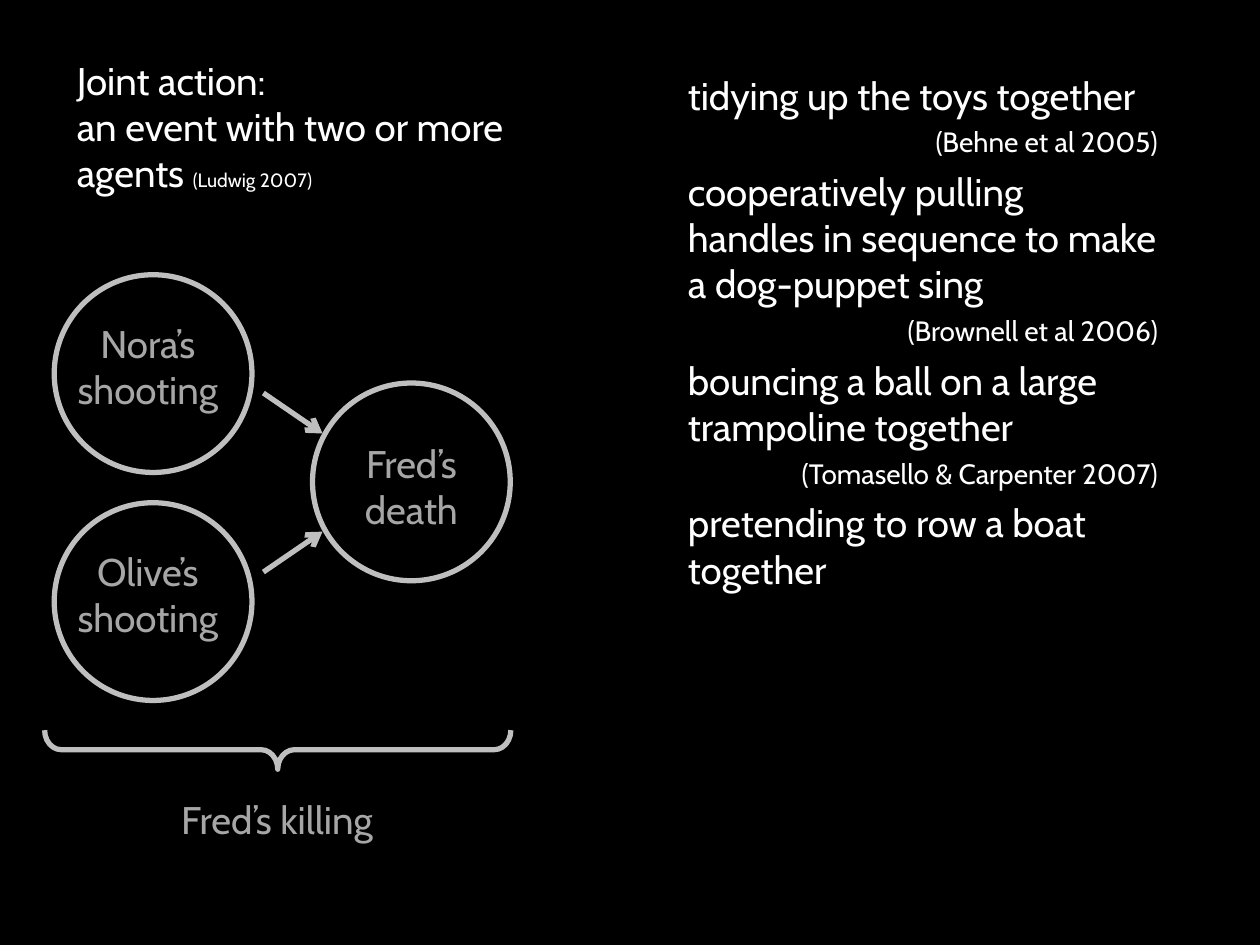
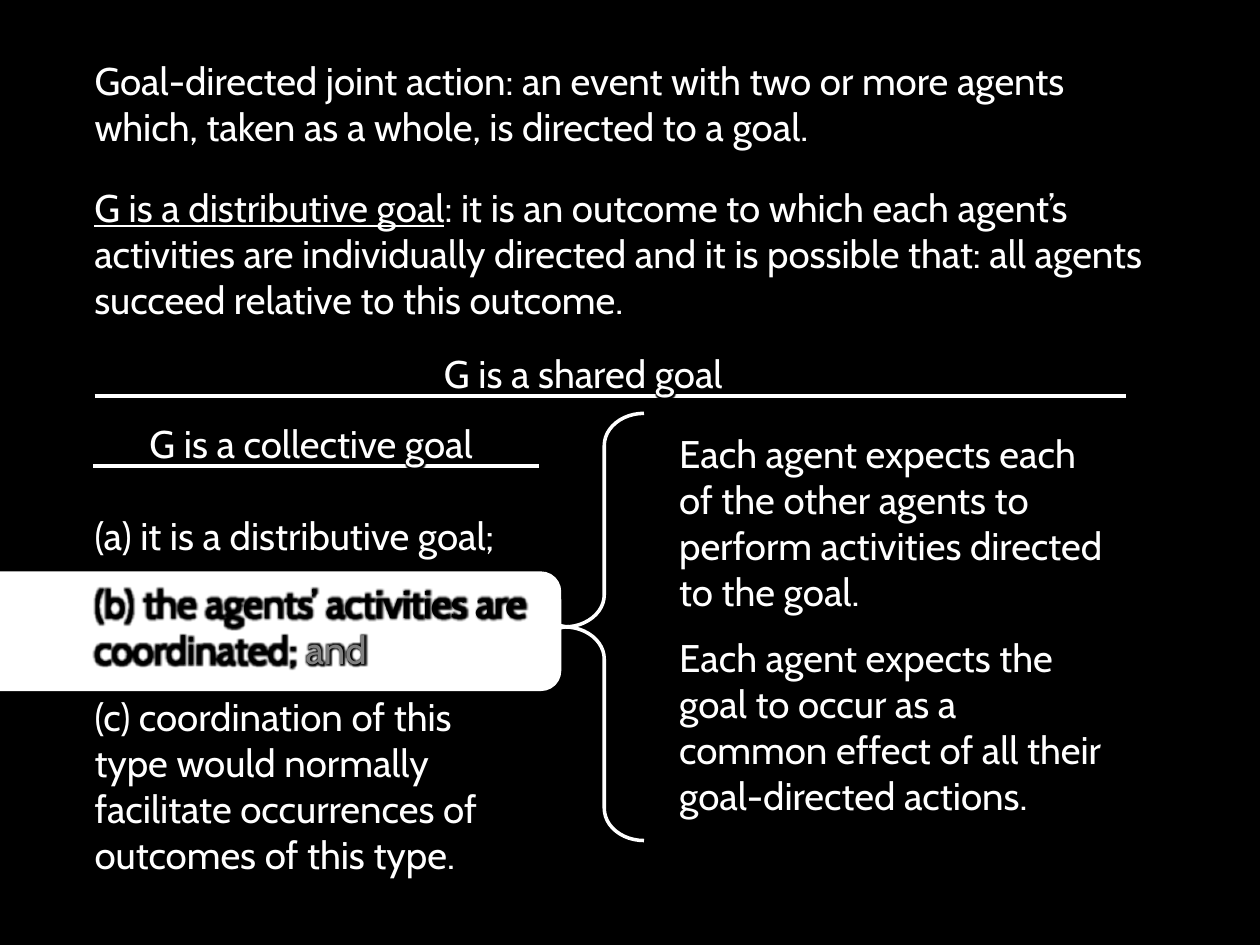
from lxml.etree import SubElement
from pptx import Presentation
from pptx.dml.color import RGBColor
from pptx.enum.shapes import MSO_CONNECTOR as LINK, MSO_SHAPE as SHAPE
from pptx.enum.text import MSO_ANCHOR, MSO_AUTO_SIZE, PP_ALIGN as ALIGN
from pptx.oxml import parse_xml
from pptx.oxml.ns import nsdecls, qn
from pptx.util import Pt

BLACK = RGBColor(0x00, 0x00, 0x00)
WHITE = RGBColor(0xFF, 0xFF, 0xFF)
SILVER = RGBColor(0xBF, 0xBF, 0xBF)
GREY = RGBColor(0xA6, 0xA6, 0xA6)
DIM = RGBColor(0x80, 0x80, 0x80)
FONT = "Cabin"
SIZE = 22
GLOW = (f'<a:effectLst {nsdecls("a")}><a:glow rad="63500">'
        '<a:srgbClr val="000000"/></a:glow></a:effectLst>')


def place(shape, left, top, width, height):
    """Move a text shape and return its wrapped, top-anchored frame."""
    shape.left, shape.top = Pt(left), Pt(top)
    shape.width, shape.height = Pt(width), Pt(height)
    frame = shape.text_frame
    frame.word_wrap = True
    frame.auto_size = MSO_AUTO_SIZE.NONE
    frame.vertical_anchor = MSO_ANCHOR.TOP
    return frame


def write(frame, text, size=SIZE, color=WHITE, align=ALIGN.LEFT, before=0, after=0):
    """Add a plain paragraph without bullet or indent."""
    par = frame.add_paragraph() if frame.text else frame.paragraphs[0]
    props = par._p.get_or_add_pPr()
    props.set("marL", "0")
    props.set("indent", "0")
    SubElement(props, qn("a:buNone"))
    par.alignment = align
    par.space_before, par.space_after = Pt(before), Pt(after)
    par.font.name, par.font.size = FONT, Pt(size)
    par.font.color.rgb = color
    par.add_run().text = text
    return par


prs = Presentation()
prs.slide_width, prs.slide_height = Pt(720), Pt(540)
back = prs.slide_master.background.fill
back.solid()
back.fore_color.rgb = BLACK

# Slide 1: joint action
slide = prs.slides.add_slide(prs.slide_layouts[1])
shapes = slide.shapes
title = place(shapes.title, 36.7, 28.8, 283.7, 87)
write(title, "Joint action:")
cite = write(title, "an event with two or more agents ").add_run()
cite.text = "(Ludwig 2007)"
cite.font.size = Pt(11)

cases = [
    ("tidying up the toys together", "(Behne et al 2005)"),
    ("cooperatively pulling handles in sequence to make a dog-puppet sing",
     "(Brownell et al 2006)"),
    ("bouncing a ball on a large trampoline together", "(Tomasello & Carpenter 2007)"),
    ("pretending to row a boat together", None),
]
body = place(slide.placeholders[1], 385.9, 37.4, 283, 313)
for num, (case, source) in enumerate(cases):
    write(body, case, before=5.5 if num else 0)
    if source:
        write(body, source, size=16, align=ALIGN.RIGHT, before=4)

DISC = 113
events = [  # label, disc left and top, label shift
    ("Nora’s shooting", 31, 157, -3, 22.3),
    ("Olive’s shooting", 31, 287.3, -3, 22.3),
    ("Fred’s death", 178.6, 218.9, 0, 28.8),
]
marks = []
for label, left, top, right, down in events:
    marks.append(shapes.add_shape(SHAPE.OVAL, Pt(left), Pt(top), Pt(DISC), Pt(DISC)))
    box = shapes.add_textbox(0, 0, 0, 0)
    write(place(box, left + right, top + down, DISC, 60.5), label,
          color=GREY, align=ALIGN.CENTER)

brace = shapes.add_shape(SHAPE.LEFT_BRACE, Pt(147.6), Pt(295.2), Pt(22.3), Pt(266.4))
brace.rotation = 270
brace.adjustments[0] = 0.425
for mark in marks + [brace]:
    mark.shadow.inherit = False
    mark.fill.background()
    mark.line.color.rgb = SILVER
    mark.line.width = Pt(3)

for start, end in [(224.6, 247.7), (326.9, 303.8)]:
    arrow = shapes.add_connector(LINK.STRAIGHT, Pt(150.5), Pt(start), Pt(184.3), Pt(end))
    arrow.line.color.rgb = SILVER
    arrow.line.width = Pt(3)
    SubElement(arrow.line._get_or_add_ln(), qn("a:tailEnd"), type="arrow")
    SubElement(arrow._element.spPr, qn("a:effectLst"))

box = shapes.add_textbox(0, 0, 0, 0)
write(place(box, 33.8, 451.4, 249, 34), "Fred’s killing", color=GREY, align=ALIGN.CENTER)

# Slide 2: shared goal
slide = prs.slides.add_slide(prs.slide_layouts[3])
shapes = slide.shapes
write(place(shapes.title, 46.8, 28.8, 614, 60.5),
      "Goal-directed joint action: an event with two or more agents which, "
      "taken as a whole, is directed to a goal.")

for left, right, top in [(54, 643.7, 226.1), (53.3, 308.2, 266.4)]:
    rule = shapes.add_connector(LINK.STRAIGHT, Pt(left), Pt(top), Pt(right), Pt(top))
    rule.line.color.rgb = WHITE
    rule.line.width = Pt(2.25)
    SubElement(rule._element.spPr, qn("a:effectLst"))

box = shapes.add_textbox(0, 0, 0, 0)
box.fill.solid()
box.fill.fore_color.rgb = BLACK
term = write(place(box, 46.8, 101.5, 625, 87), "G is a distributive goal")
term.runs[0].font.underline = True
term.add_run().text = (": it is an outcome to which each agent’s activities are individually "
                       "directed and it is possible that: all agents succeed relative to "
                       "this outcome.")

expects = place(slide.placeholders[2], 380.9, 241.9, 262, 234)
write(expects, "Each agent expects each of the other agents to perform activities "
               "directed to the goal.")
write(expects, "Each agent expects the goal to occur as a common effect of all their "
               "goal-directed actions.", before=11)

for kind, left, top, width, height in [
    (SHAPE.LEFT_BRACE, 322.6, 236.2, 45.4, 244.1),
    (SHAPE.RIGHT_BRACE, 297.4, 332.6, 27.4, 51.1),
]:
    brace = shapes.add_shape(kind, Pt(left), Pt(top), Pt(width), Pt(height))
    brace.shadow.inherit = False
    brace.adjustments[0] = 0.405
    brace.fill.background()
    brace.line.color.rgb = WHITE
    brace.line.width = Pt(2)

band = shapes.add_shape(SHAPE.ROUNDED_RECTANGLE, Pt(-25.2), Pt(326.9), Pt(345.6), Pt(67.7))
band.shadow.inherit = False
band.fill.solid()
band.fill.fore_color.rgb = WHITE
band.line.color.rgb = WHITE
band.line.width = Pt(0.75)

glowing = []
for text, left, top in [("G is a shared goal", 202.3, 196.6),
                        ("G is a collective goal", 46.8, 236.6)]:
    box = shapes.add_textbox(0, 0, 0, 0)
    glowing.append(write(place(box, left, top, 262, 34), text, align=ALIGN.CENTER))

terms = slide.placeholders[1]
shapes._spTree.append(terms._element)  # in front of the white band
frame = place(terms, 46.8, 289.2, 262, 219)
for text, color in [
    ("(a) it is a distributive goal;", WHITE),
    ("(b) the agents’ activities are coordinated; ", BLACK),
    ("(c) coordination of this type would normally facilitate occurrences of "
     "outcomes of this type.", WHITE),
]:
    glowing.append(write(frame, text, color=color, after=12))
link = glowing[3].add_run()
link.text = "and"
link.font.color.rgb = DIM

for par in glowing:
    for run in par.runs:
        run._r.get_or_add_rPr().append(parse_xml(GLOW))

prs.save("out.pptx")
